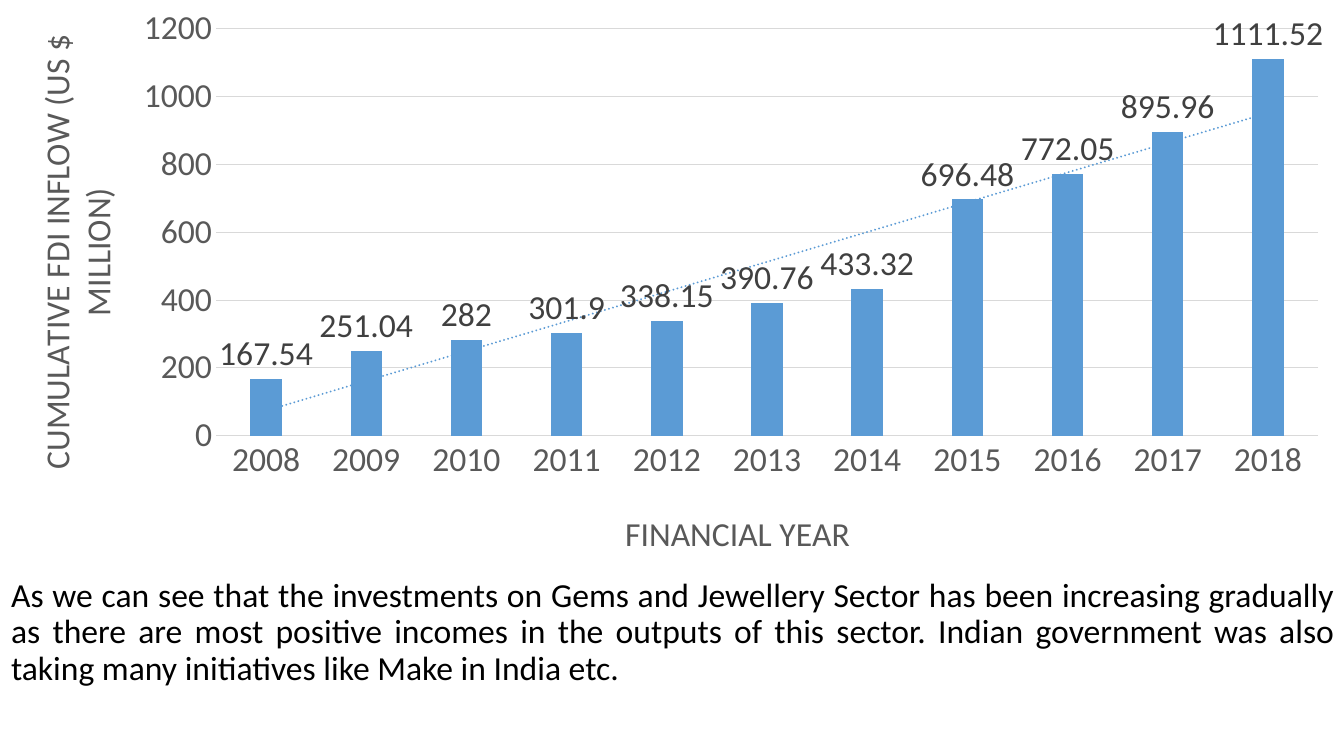
from dataclasses import dataclass

from lxml import etree
from pptx import Presentation
from pptx.chart.data import CategoryChartData
from pptx.dml.color import RGBColor
from pptx.enum.chart import XL_CHART_TYPE, XL_LABEL_POSITION, XL_TICK_MARK
from pptx.enum.text import MSO_ANCHOR, MSO_AUTO_SIZE, PP_ALIGN
from pptx.oxml import parse_xml
from pptx.oxml.ns import nsdecls, qn
from pptx.util import Inches, Pt

COLUMNS = XL_CHART_TYPE.COLUMN_CLUSTERED
OUTSIDE_END = XL_LABEL_POSITION.OUTSIDE_END
NO_TICK = XL_TICK_MARK.NONE

FIRST_YEAR = 2008
INFLOWS = [167.54, 251.04, 282, 301.9, 338.15, 390.76, 433.32,
           696.48, 772.05, 895.96, 1111.52]
YEAR_TITLE = "FINANCIAL YEAR"
INFLOW_TITLE = "CUMULATIVE FDI INFLOW (US $ MILLION)"
COMMENTARY = (
    "As we can see that the investments on Gems and Jewellery Sector has been "
    "increasing gradually as there are most positive incomes in the outputs of "
    "this sector. Indian government was also taking many initiatives like Make "
    "in India etc."
)

PAGE_WIDTH, PAGE_HEIGHT = 13.33, 7.5
LEFT, CHART_HEIGHT = 0.01, 5.69
# Fractions of the chart area
PLOT_AREA = {"x": 0.16, "y": 0.05, "w": 0.82, "h": 0.71}
YEAR_TITLE_AT = {"x": 0.46, "y": 0.88}
INFLOW_TITLE_AT = {"x": 0.02, "y": 0.05}


@dataclass(frozen=True)
class Theme:
    font: str = "Calibri"
    size: int = 24
    text: str = "000000"
    axis: str = "595959"
    label: str = "404040"
    grid: str = "D9D9D9"
    bar: str = "5B9BD5"
    hairline: float = 0.75
    trend_width: float = 1.5


THEME = Theme()


def format_font(font, color):
    font.name = THEME.font
    font.size = Pt(THEME.size)
    font.bold = False
    font.color.rgb = RGBColor.from_string(color)


def add_text(frame, text, color=THEME.text, **para_format):
    """Fill a frame's first paragraph; keywords set paragraph properties."""
    para = frame.paragraphs[0]
    for name, value in para_format.items():
        setattr(para, name, value)
    span = para.add_run()
    span.text = text
    format_font(span.font, color)


def place(element, index, fractions):
    """Give a chart part a manual layout, as fractions of the chart."""
    for layout in element.findall(qn("c:layout")):
        element.remove(layout)
    layout = etree.Element(qn("c:layout"))
    manual = etree.SubElement(layout, qn("c:manualLayout"))
    settings = {"xMode": "edge", "yMode": "edge", **fractions}
    if "w" in fractions:
        settings = {"layoutTarget": "inner", **settings}
    for name, value in settings.items():
        etree.SubElement(manual, qn(f"c:{name}")).set("val", str(value))
    element.insert(index, layout)


def format_axis(axis, title, title_at):
    axis.major_tick_mark = axis.minor_tick_mark = NO_TICK
    format_font(axis.tick_labels.font, THEME.axis)
    add_text(axis.axis_title.text_frame, title, color=THEME.axis)
    place(axis.axis_title.element, 1, title_at)


def format_line(line):
    line.color.rgb = RGBColor.from_string(THEME.grid)
    line.width = Pt(THEME.hairline)


def add_trend(chart):
    trend = parse_xml(
        f'<c:trendline {nsdecls("c", "a")}><c:spPr>'
        f'<a:ln w="{Pt(THEME.trend_width)}" cap="rnd"><a:solidFill>'
        f'<a:srgbClr val="{THEME.bar}"/></a:solidFill>'
        '<a:prstDash val="sysDot"/></a:ln></c:spPr>'
        '<c:trendlineType val="linear"/><c:dispRSqr val="0"/>'
        '<c:dispEq val="0"/></c:trendline>'
    )
    next(chart.element.iter(qn("c:cat"))).addprevious(trend)


def add_inflow_chart(page):
    data = CategoryChartData()
    data.categories = [str(FIRST_YEAR + step) for step in range(len(INFLOWS))]
    data.add_series("Series 1", INFLOWS)
    chart = page.shapes.add_chart(
        COLUMNS, Inches(LEFT), 0, Inches(PAGE_WIDTH), Inches(CHART_HEIGHT), data
    ).chart
    chart.has_title = chart.has_legend = False
    format_font(chart.font, THEME.text)

    plot = chart.plots[0]
    plot.gap_width, plot.overlap = 219, -27
    plot.vary_by_categories = False
    series = plot.series[0]
    series.format.fill.solid()
    series.format.fill.fore_color.rgb = RGBColor.from_string(THEME.bar)
    labels = series.data_labels
    labels.show_value = True
    labels.position = OUTSIDE_END
    format_font(labels.font, THEME.label)
    add_trend(chart)

    years, inflow = chart.category_axis, chart.value_axis
    format_axis(years, YEAR_TITLE, YEAR_TITLE_AT)
    format_axis(inflow, INFLOW_TITLE, INFLOW_TITLE_AT)
    format_line(years.format.line)
    format_line(inflow.major_gridlines.format.line)
    inflow.format.line.fill.background()
    inflow.minimum_scale, inflow.maximum_scale, inflow.major_unit = 0, 1200, 200
    place(next(chart.element.iter(qn("c:plotArea"))), 0, PLOT_AREA)


def add_commentary(page):
    box = page.placeholders[1]
    box.left, box.top = Inches(LEFT), Inches(CHART_HEIGHT)
    box.width, box.height = Inches(PAGE_WIDTH), Inches(PAGE_HEIGHT - CHART_HEIGHT)
    frame = box.text_frame
    frame.word_wrap = True
    frame.auto_size = MSO_AUTO_SIZE.NONE
    frame.vertical_anchor = MSO_ANCHOR.TOP
    add_text(frame, COMMENTARY, alignment=PP_ALIGN.JUSTIFY,
             line_spacing=0.9, space_before=Pt(10))


def main():
    deck = Presentation()
    deck.slide_width, deck.slide_height = Inches(PAGE_WIDTH), Inches(PAGE_HEIGHT)
    page = deck.slides.add_slide(deck.slide_layouts[0])
    title = page.shapes.title.element
    title.getparent().remove(title)
    add_inflow_chart(page)
    add_commentary(page)
    deck.save("out.pptx")


if __name__ == "__main__":
    main()
